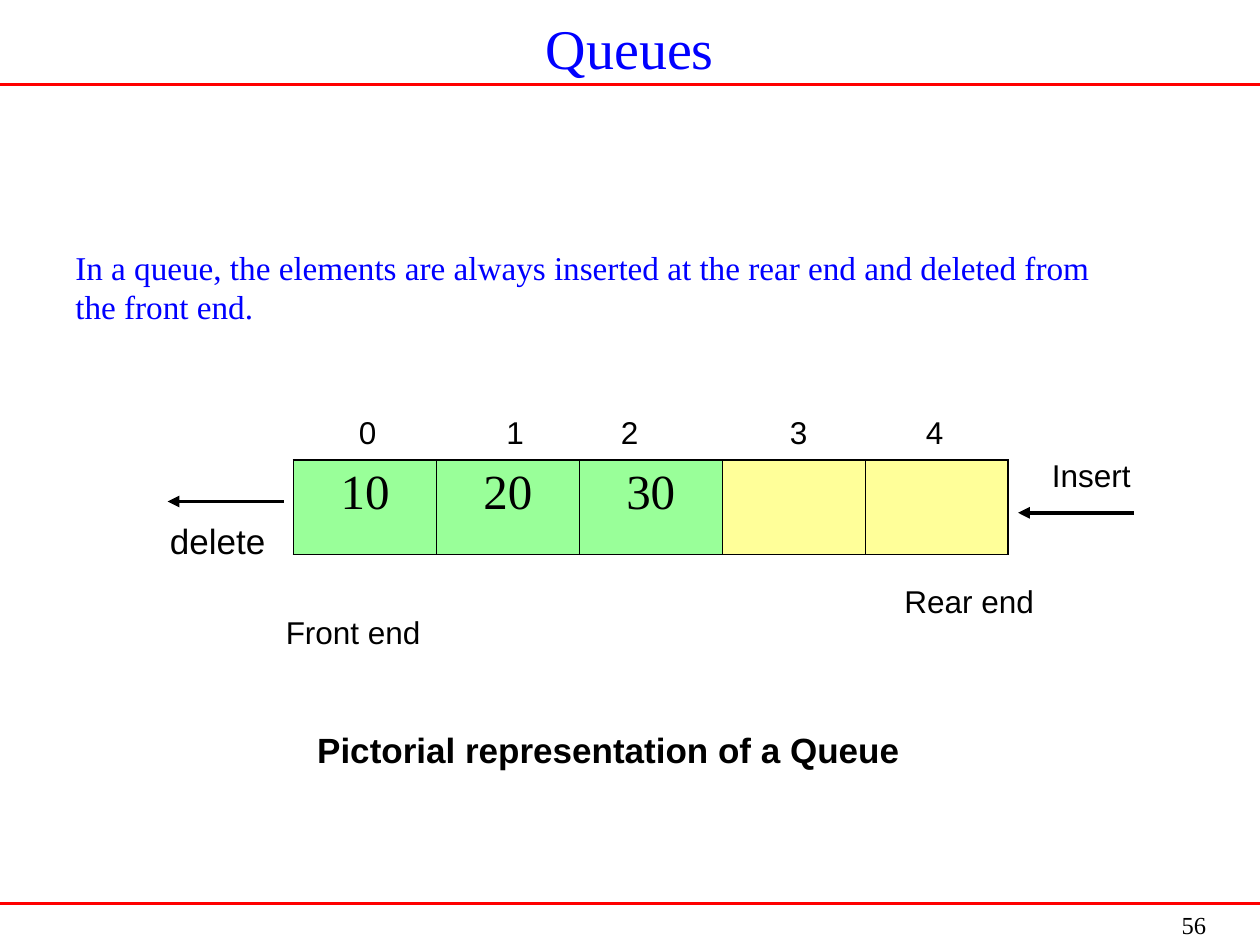
from lxml import etree
from pptx import Presentation
from pptx.dml.color import RGBColor
from pptx.enum.shapes import MSO_CONNECTOR
from pptx.enum.text import MSO_ANCHOR, PP_ALIGN
from pptx.oxml.ns import qn
from pptx.util import Inches, Pt

LEFT, CENTER = PP_ALIGN.LEFT, PP_ALIGN.CENTER
TOP, MIDDLE = MSO_ANCHOR.TOP, MSO_ANCHOR.MIDDLE
STRAIGHT = MSO_CONNECTOR.STRAIGHT
RED = RGBColor(0xFF, 0, 0)
BLUE = RGBColor(0, 0, 0xFF)
BLACK = RGBColor(0, 0, 0)
GREEN = RGBColor(0x99, 0xFF, 0x99)
YELLOW = RGBColor(0xFF, 0xFF, 0x99)
SERIF, SANS = "Times New Roman", "Arial"

prs = Presentation()
prs.slide_width, prs.slide_height = Inches(10), Inches(7.5)
s = prs.slides.add_slide(prs.slide_layouts[6])


def write(tf, text, size, name=SANS, color=BLACK, bold=False, align=LEFT):
    """Put one formatted paragraph in a text frame."""
    p = tf.paragraphs[0]
    p.alignment = align
    r = p.add_run()
    r.text = text
    r.font.color.rgb = color
    for key, value in {"size": Pt(size), "name": name, "bold": bold}.items():
        setattr(r.font, key, value)


def add_line(x1, x2, y, color, width, arrow=False):
    """Draw a horizontal line, with an arrowhead at x2 if asked."""
    line = s.shapes.add_connector(STRAIGHT, Inches(x1), Inches(y), Inches(x2), Inches(y))
    line.line.color.rgb = color
    line.line.width = Pt(width)
    if arrow:
        etree.SubElement(line.line._get_or_add_ln(), qn("a:tailEnd"), type="triangle")
    etree.SubElement(line._element.spPr, qn("a:effectLst"))


# Rules above and below the content
for y in (7.17, 0.67):
    add_line(0, 10, y, RED, 2)

# Queue cells
values = ["10", "20", "30", "", ""]
table = s.shapes.add_table(1, len(values), Inches(2.33), Inches(3.65),
                           Inches(5.67), Inches(0.75)).table
table.first_row = table.horz_banding = False
table.rows[0].height = Inches(0.75)
last = len(values) - 1
for i, value in enumerate(values):
    cell = table.cell(0, i)
    tcPr = cell._tc.get_or_add_tcPr()
    widths = {"lnL": 1.08 if i == 0 else 0.45, "lnR": 1.08 if i == last else 0.45,
              "lnT": 1.08, "lnB": 1.08}
    for side, width in widths.items():
        ln = etree.SubElement(tcPr, qn("a:" + side), w=str(Pt(width)))
        fill = etree.SubElement(ln, qn("a:solidFill"))
        etree.SubElement(fill, qn("a:srgbClr"), val=str(BLACK))
    cell.fill.solid()
    cell.fill.fore_color.rgb = GREEN if value else YELLOW
    if value:
        write(cell.text_frame, value, 28, SERIF, align=CENTER)

# Arrows for delete and insert
for x1, x2, y in ((2.25, 1.33, 3.98), (9, 8.08, 4.07)):
    add_line(x1, x2, y, BLACK, 2.25, arrow=True)

# Texts: left, top, width, height, anchor, text, format
texts = [
    (0.75, 0, 8.5, 0.75, MIDDLE, "Queues",
     {"size": 32, "name": SERIF, "color": BLUE, "align": CENTER}),
    (0.5, 1.65, 8.5, 1.25, MIDDLE,
     "In a queue, the elements are always inserted at the rear end "
     "and deleted from the front end.",
     {"size": 19, "name": SERIF, "color": BLUE}),
    (8.25, 3.57, 1, 0.4, TOP, "Insert", {"size": 18}),
    (1.25, 4.07, 1.17, 0.44, TOP, "delete", {"size": 20}),
    (2.17, 4.82, 1.5, 0.4, TOP, "Front end", {"size": 18}),
    (7.08, 4.57, 1.25, 0.4, TOP, "Rear end", {"size": 18}),
    (1.33, 5.73, 7, 0.44, TOP, "Pictorial representation of a Queue",
     {"size": 20, "bold": True, "align": CENTER}),
    (9.28, 7.17, 1.01, 0.34, TOP, "56", {"size": 14, "name": SERIF}),
]
index_boxes = ((2.75, 0.42), (3.92, 0.33), (4.83, 0.42), (6.17, 0.42), (7.25, 0.33))
for i, (left, width) in enumerate(index_boxes):
    texts.append((left, 3.23, width, 0.4, TOP, str(i), {"size": 18}))

for left, top, width, height, anchor, text, style in texts:
    tf = s.shapes.add_textbox(Inches(left), Inches(top),
                              Inches(width), Inches(height)).text_frame
    tf.word_wrap = True
    tf.vertical_anchor = anchor
    write(tf, text, **style)

prs.save("out.pptx")
